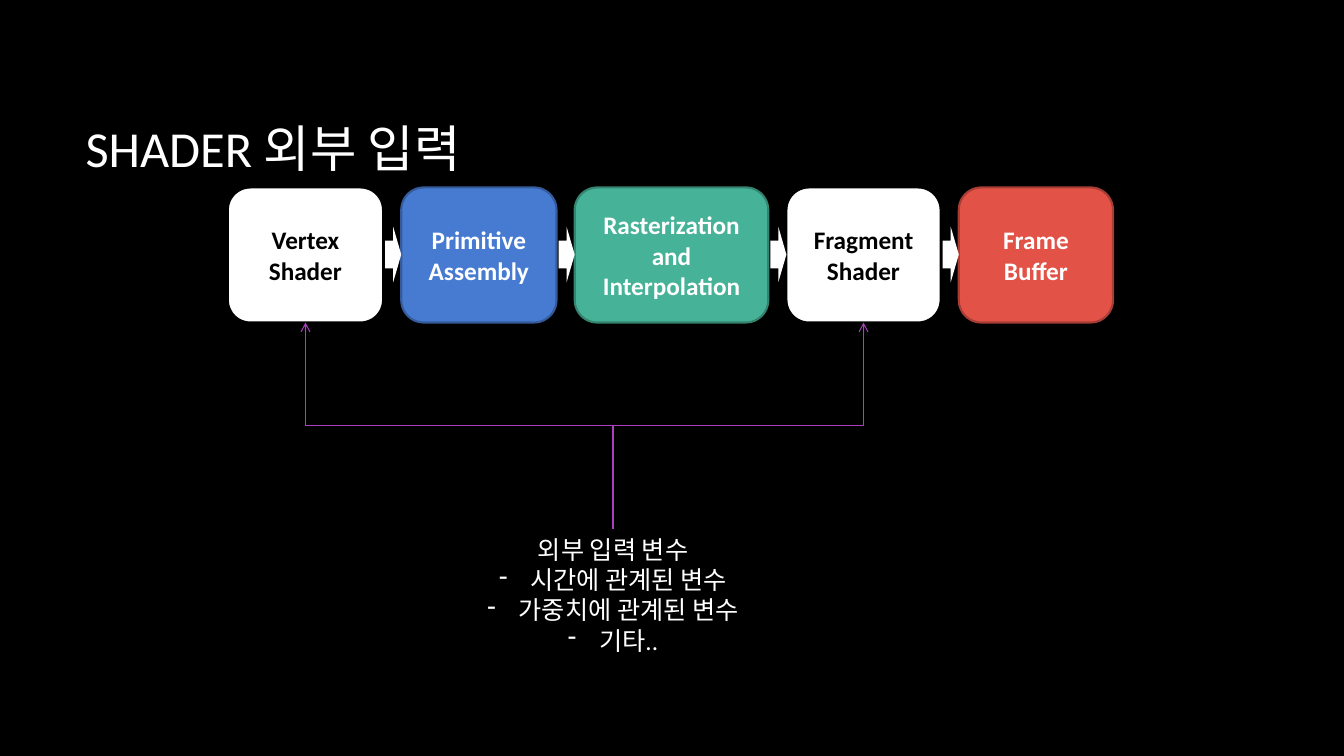
from lxml.etree import SubElement
from pptx import Presentation
from pptx.dml.color import RGBColor
from pptx.enum.shapes import MSO_CONNECTOR, MSO_SHAPE
from pptx.enum.text import MSO_ANCHOR, PP_ALIGN
from pptx.oxml import parse_xml
from pptx.oxml.ns import nsdecls, qn
from pptx.util import Pt

TITLE = "SHADER 외부 입력"
STAGES = [
    ("Vertex Shader", 154, "shader"),
    ("Primitive Assembly", 154, "assembly"),
    ("Rasterization and Interpolation", 192, "raster"),
    ("Fragment Shader", 153, "shader"),
    ("Frame Buffer", 153, "buffer"),
]
INPUT_HEADING = "외부 입력 변수"
INPUT_KINDS = ["시간에 관계된 변수", "가중치에 관계된 변수", "기타.."]
INPUT_TARGETS = ["Vertex Shader", "Fragment Shader"]

THEME = {
    "font": "Calibri",
    "title_size": 36,
    "body_size": 18,
    "background": "000000",
    "text": "FFFFFF",
    "flow": "FFFFFF",
    "input_line": "AC3EC1",
    "stages": {
        "shader": ("FFFFFF", "000000", "000000"),
        "assembly": ("477BD1", "355B9B", "FFFFFF"),
        "raster": ("46B298", "348470", "FFFFFF"),
        "buffer": ("E25247", "A73D35", "FFFFFF"),
    },
}

SCALE = 9144
SLIDE_SIZE = (1333, 750)
TITLE_AREA = (75, 67, 1108, 159)
PIPELINE_LEFT, PIPELINE_TOP, STAGE_HEIGHT, STAGE_GAP = 226, 186, 134, 18
FLOW_WIDTH, FLOW_HEIGHT = 16, 55
INPUT_AREA = (407, 525, 402, 131)
BULLET_INDENT = 31


def px(*lengths):
    return [round(length * SCALE) for length in lengths]


def color(name):
    return RGBColor.from_string(name)


def style(paragraph, size, ink, bold=False, align=PP_ALIGN.LEFT):
    paragraph.alignment = align
    paragraph.font.name = THEME["font"]
    paragraph.font.size = Pt(size)
    paragraph.font.bold = bold
    paragraph.font.color.rgb = color(ink)


def add_block(slide, preset, area, fill):
    block = slide.shapes.add_shape(preset, *px(*area))
    block.shadow.inherit = False
    block.fill.solid()
    block.fill.fore_color.rgb = color(fill)
    return block


def add_title(slide):
    frame = slide.shapes.add_textbox(*px(*TITLE_AREA)).text_frame
    frame.word_wrap = True
    frame.vertical_anchor = MSO_ANCHOR.MIDDLE
    frame.text = TITLE
    style(frame.paragraphs[0], THEME["title_size"], THEME["text"])


def add_stage(slide, label, left, width, role):
    fill, outline, ink = THEME["stages"][role]
    area = (left, PIPELINE_TOP, width, STAGE_HEIGHT)
    stage = add_block(slide, MSO_SHAPE.ROUNDED_RECTANGLE, area, fill)
    stage.line.color.rgb = color(outline)
    stage.line.width = Pt(1.5)
    frame = stage.text_frame
    frame.word_wrap = True
    frame.vertical_anchor = MSO_ANCHOR.MIDDLE
    frame.text = label
    style(frame.paragraphs[0], THEME["body_size"], ink, True, PP_ALIGN.CENTER)


def add_flow(slide, next_left):
    top = PIPELINE_TOP + (STAGE_HEIGHT - FLOW_HEIGHT) // 2
    area = (next_left - FLOW_WIDTH, top, FLOW_WIDTH, FLOW_HEIGHT)
    flow = add_block(slide, MSO_SHAPE.RIGHT_ARROW, area, THEME["flow"])
    flow.line.fill.background()


def add_pipeline(slide):
    centers = {}
    left = PIPELINE_LEFT
    for label, width, role in STAGES:
        add_stage(slide, label, left, width, role)
        if centers:
            add_flow(slide, left)
        centers[label] = left + width / 2
        left += width + STAGE_GAP
    return centers


def add_inputs(slide):
    frame = slide.shapes.add_textbox(*px(*INPUT_AREA)).text_frame
    frame.word_wrap = True
    frame.text = "\n".join([INPUT_HEADING, *INPUT_KINDS])
    for paragraph in frame.paragraphs:
        style(paragraph, THEME["body_size"], THEME["text"], align=PP_ALIGN.CENTER)
    indent = px(BULLET_INDENT)[0]
    for kind in frame.paragraphs[1:]:
        properties = kind._p.get_or_add_pPr()
        properties.set("marL", str(indent))
        properties.set("indent", str(-indent))
        properties.insert(0, parse_xml(f'<a:buChar {nsdecls("a")} char="-"/>'))


def add_input_arrow(slide, target_x):
    left, source_y, width, _ = INPUT_AREA
    source_x = left + width / 2
    target_y = PIPELINE_TOP + STAGE_HEIGHT
    run, rise = target_x - source_x, source_y - target_y
    middle_x, middle_y = (source_x + target_x) / 2, (source_y + target_y) / 2
    arrow = slide.shapes.add_connector(
        MSO_CONNECTOR.ELBOW,
        *px(middle_x - rise / 2, middle_y - run / 2),
        *px(middle_x + rise / 2, middle_y + run / 2),
    )
    arrow.line.color.rgb = color(THEME["input_line"])
    arrow.line.width = Pt(0.75)
    properties = arrow._element.spPr
    properties.find(qn("a:xfrm")).set("rot", str(270 * 60000))
    SubElement(properties.find(qn("a:ln")), qn("a:tailEnd"), type="arrow")
    SubElement(properties, qn("a:effectLst"))


def main():
    deck = Presentation()
    deck.slide_width, deck.slide_height = px(*SLIDE_SIZE)
    slide = deck.slides.add_slide(deck.slide_layouts[6])
    slide.background.fill.solid()
    slide.background.fill.fore_color.rgb = color(THEME["background"])
    add_title(slide)
    stage_centers = add_pipeline(slide)
    add_inputs(slide)
    for target in INPUT_TARGETS:
        add_input_arrow(slide, stage_centers[target])
    deck.save("out.pptx")


if __name__ == "__main__":
    main()
